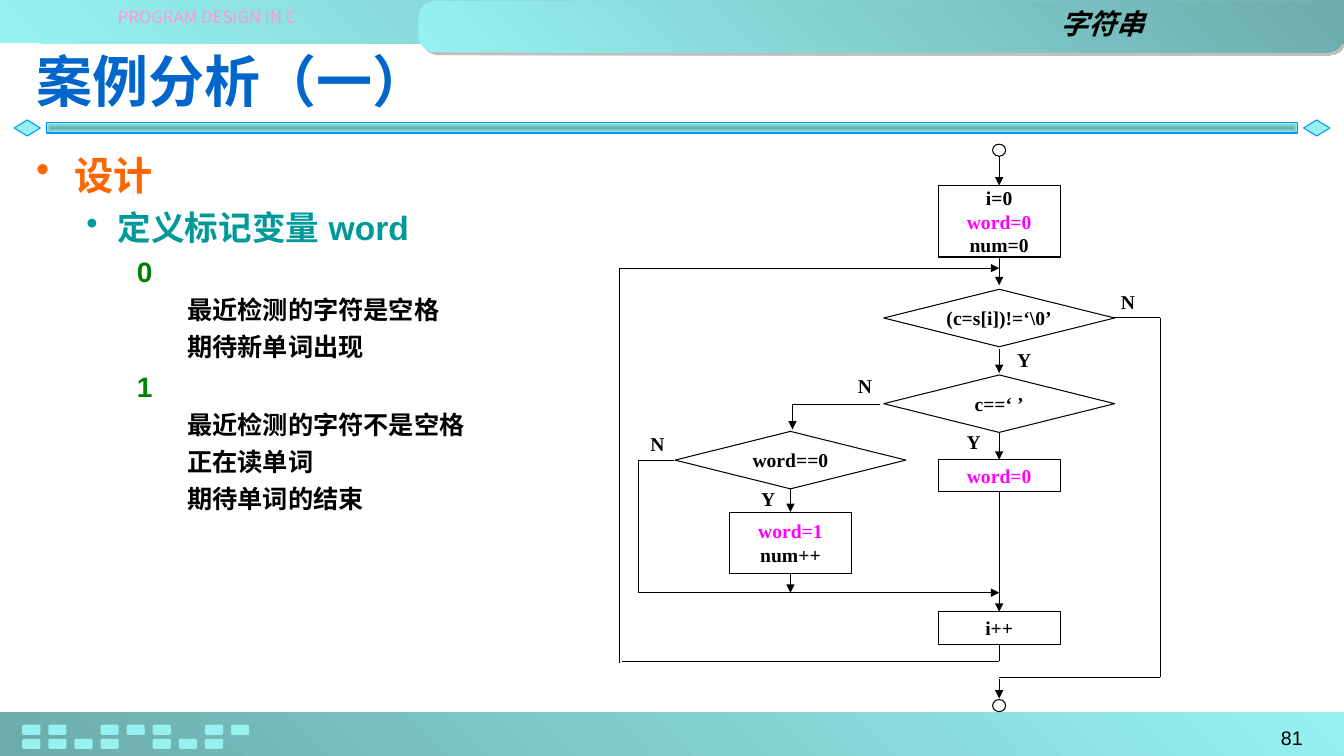
from pptx import Presentation
from pptx.dml.color import RGBColor
from pptx.enum.shapes import MSO_CONNECTOR, MSO_SHAPE
from pptx.enum.text import MSO_ANCHOR, PP_ALIGN
from pptx.oxml import parse_xml
from pptx.oxml.ns import nsdecls, qn
from pptx.oxml.xmlchemy import OxmlElement
from pptx.util import Inches, Pt

RECTANGLE, ROUNDED = MSO_SHAPE.RECTANGLE, MSO_SHAPE.ROUNDED_RECTANGLE
DIAMOND, DECISION, OVAL = MSO_SHAPE.DIAMOND, MSO_SHAPE.FLOWCHART_DECISION, MSO_SHAPE.OVAL
STRAIGHT = MSO_CONNECTOR.STRAIGHT
LEFT, CENTER, RIGHT = PP_ALIGN.LEFT, PP_ALIGN.CENTER, PP_ALIGN.RIGHT
TOP, MIDDLE = MSO_ANCHOR.TOP, MSO_ANCHOR.MIDDLE

BLACK = RGBColor(0x00, 0x00, 0x00)
AQUA = RGBColor(0x97, 0xF1, 0xF1)
SKY = RGBColor(0x00, 0x99, 0xFF)
BLUE = RGBColor(0x00, 0x66, 0xCC)
PINK = RGBColor(0xFF, 0x99, 0xCC)
ORANGE = RGBColor(0xFF, 0x66, 0x00)
TEAL = RGBColor(0x00, 0x99, 0x99)
GREEN = RGBColor(0x00, 0x80, 0x00)
MAGENTA = RGBColor(0xFF, 0x00, 0xFF)

FLOW_TEXT = {"name": "Times New Roman", "size": Pt(14), "bold": True}
LEVELS = [(28, ORANGE, 0.38, 0.38, True), (24, TEAL, 0.81, 0.31, True),
          (20, GREEN, 1.25, 0.25, False), (18, BLACK, 1.75, 0.25, False)]
OUTLINE = [(0, "设计"), (1, "定义标记变量 word"),
           (2, "0"), (3, "最近检测的字符是空格"), (3, "期待新单词出现"),
           (2, "1"), (3, "最近检测的字符不是空格"), (3, "正在读单词"), (3, "期待单词的结束")]


def write(paragraph, text, color, font_format, alignment=LEFT):
    """Put one formatted run in a paragraph."""
    paragraph.alignment = alignment
    run = paragraph.add_run()
    run.text = text
    for name, value in font_format.items():
        setattr(run.font, name, value)
    run.font.color.rgb = color
    east_asian = OxmlElement("a:ea")
    east_asian.set("typeface", font_format["name"])
    run.font._element.find(qn("a:latin")).addnext(east_asian)


def set_frame(frame, wrap=True, anchor=TOP, vertical_margin=0.05):
    """Set wrapping, anchor and vertical margins of a text frame."""
    values = {"word_wrap": wrap, "vertical_anchor": anchor,
              "margin_top": Inches(vertical_margin), "margin_bottom": Inches(vertical_margin)}
    for name, value in values.items():
        setattr(frame, name, value)


def add_text(slide, box, text, color, font_format, alignment=LEFT, **frame_format):
    """Add a text box with one line."""
    frame = slide.shapes.add_textbox(*map(Inches, box)).text_frame
    set_frame(frame, **frame_format)
    write(frame.paragraphs[0], text, color, font_format, alignment)


def add_shape(slide, kind, box, fill=None, line=None):
    """Add a preset shape without shadow."""
    shape = slide.shapes.add_shape(kind, *map(Inches, box))
    shape.shadow.inherit = False
    if fill is None:
        shape.fill.background()
    else:
        shape.fill.solid()
        shape.fill.fore_color.rgb = fill
    if line is None:
        shape.line.fill.background()
    else:
        shape.line.color.rgb = line
        shape.line.width = Pt(0.75)
    return shape


def shade(shape, dark_first, from_center=False):
    """Fill a shape with the aqua gradient."""
    dark = f'<a:srgbClr val="{AQUA}"><a:shade val="46275"/></a:srgbClr>'
    light = f'<a:srgbClr val="{AQUA}"/>'
    first, last = (dark, light) if dark_first else (light, dark)
    direction = '<a:lin ang="18900000" scaled="1"/>'
    if from_center:
        direction = '<a:path path="shape"><a:fillToRect l="50000" t="50000" r="50000" b="50000"/></a:path>'
    gradient = parse_xml(
        f'<a:gradFill rotWithShape="1" {nsdecls("a")}><a:gsLst><a:gs pos="0">{first}</a:gs>'
        f'<a:gs pos="100000">{last}</a:gs></a:gsLst>{direction}</a:gradFill>')
    properties = shape._element.spPr
    properties.replace(properties.find(qn("a:solidFill")), gradient)


def draw_header(slide, left, top, width):
    """Draw the top band with the course and chapter names."""
    shade(add_shape(slide, RECTANGLE, (left, top, width, 0.43), AQUA), False)
    tab = add_shape(slide, ROUNDED, (left + 4.15, top + 0.01, width - 4.15, 0.51), AQUA)
    tab.adjustments[0] = 0.333
    shade(tab, False)
    tab._element.spPr.find(qn("a:effectLst")).append(parse_xml(
        f'<a:outerShdw dist="35560" dir="2700000" algn="ctr" rotWithShape="0" {nsdecls("a")}>'
        '<a:srgbClr val="808080"><a:alpha val="50000"/></a:srgbClr></a:outerShdw>'))
    add_text(slide, (left + 0.3, top + 0.07, 3.51, 0.22), "PROGRAM DESIGN IN C", PINK,
             {"name": "Noto Sans CJK SC", "size": Pt(12)}, CENTER, vertical_margin=0)
    add_text(slide, (left + 5.04, top + 0.02, 6.41, 0.43), "字符串", BLACK,
             {"name": "Arial", "size": Pt(20), "bold": True, "italic": True}, RIGHT)


def draw_title(slide, left, top, width, height):
    """Place the title and the rule below it."""
    title = slide.shapes.title
    for name, value in zip(("left", "top", "width", "height"), (left, top, width, height)):
        setattr(title, name, Inches(value))
    set_frame(title.text_frame, anchor=MIDDLE)
    write(title.text_frame.paragraphs[0], "案例分析（一）", BLUE,
          {"name": "Noto Sans CJK JP", "size": Pt(40), "bold": True})
    rule_top = top + height - 0.04
    for offset in (-0.12, width - 0.14):
        add_shape(slide, DIAMOND, (left + offset, rule_top, 0.26, 0.16), AQUA, SKY)
    rule = add_shape(slide, RECTANGLE, (left + 0.2, rule_top + 0.03, width - 0.4, 0.1), AQUA, SKY)
    shade(rule, True, from_center=True)


def draw_footer(slide, left, top, width, height):
    """Draw the bottom band with its blocks and the page number."""
    shade(add_shape(slide, RECTANGLE, (left, top, width, height), AQUA), True)
    for row, columns in enumerate([(0, 1, 3, 4, 5, 7, 8), (0, 1, 2, 3, 5, 6, 7)]):
        for column in columns:
            box = (left + 0.22 + 0.259 * column, top + 0.12 + 0.14 * row, 0.18, 0.1)
            add_shape(slide, ROUNDED, box, AQUA)
    add_text(slide, (left + 11.18, top + 0.08, 1.84, 0.28), "81", BLACK,
             {"name": "Arial", "size": Pt(14)}, RIGHT)


def draw_outline(slide, left, top, width, height):
    """Write the bulleted design notes."""
    frame = slide.shapes.add_textbox(*map(Inches, (left, top, width, height))).text_frame
    set_frame(frame)
    for index, (level, text) in enumerate(OUTLINE):
        size, color, margin, hanging, bulleted = LEVELS[level]
        paragraph = frame.add_paragraph() if index else frame.paragraphs[0]
        properties = paragraph._element.get_or_add_pPr()
        properties.set("marL", str(Inches(margin)))
        properties.set("indent", str(-Inches(hanging)))
        bullet = OxmlElement("a:buChar" if bulleted else "a:buNone")
        if bulleted:
            bullet.set("char", "•")
        properties.append(bullet)
        paragraph.level = level
        paragraph.space_before = Pt(round(0.26 * size, 1) if index else 0)
        write(paragraph, text, color, {"name": "Arial", "size": Pt(size), "bold": True})


def draw_flowchart(slide, left, top):
    """Draw the word-counting flowchart from its top left corner."""
    main, branch, inner, outer = 3.77, 1.7, 0.19, 5.37
    merge, back, leave = 4.45, 5.13, 5.29
    sizes = {RECTANGLE: 1.21, DECISION: 2.29, OVAL: 0.13}
    nodes = {}
    for key, kind, axis, node_top, height, lines in [
            ("start", OVAL, main, 0, 0.12, []),
            ("init", RECTANGLE, main, 0.41, 0.71, ["i=0", "word=0", "num=0"]),
            ("loop", DECISION, main, 1.44, 0.57, ["(c=s[i])!=‘\\0’"]),
            ("blank", DECISION, main, 2.29, 0.57, ["c==‘ ’"]),
            ("reset", RECTANGLE, main, 3.13, 0.32, ["word=0"]),
            ("step", RECTANGLE, main, 4.64, 0.32, ["i++"]),
            ("flag", DECISION, branch, 2.85, 0.57, ["word==0"]),
            ("count", RECTANGLE, branch, 3.65, 0.61, ["word=1", "num++"]),
            ("end", OVAL, main, 5.51, 0.12, [])]:
        width = sizes[kind]
        box = (left + axis - width / 2, top + node_top, width, height)
        nodes[key] = add_shape(slide, kind, box, line=BLACK)
        frame = nodes[key].text_frame
        set_frame(frame, wrap=False, anchor=MIDDLE)
        for index, text in enumerate(lines):
            paragraph = frame.add_paragraph() if index else frame.paragraphs[0]
            color = MAGENTA if text.startswith("word=") and "==" not in text else BLACK
            write(paragraph, text, color, FLOW_TEXT, CENTER)

    for start, end, arrow, start_join, end_join in [
            ((main, 0.12), (main, 0.41), True, None, ("init", 0)),
            ((main, 1.12), (main, 1.4), True, ("init", 2), None),
            ((main, 2.03), (main, 2.27), True, None, None),
            ((main, 2.86), (main, 3.13), True, None, ("reset", 0)),
            ((main, 3.45), (main, 4.64), True, ("reset", 2), ("step", 0)),
            ((main, 4.96), (main, back), False, ("step", 2), None),
            ((main, back), (0.03, back), False, None, None),
            ((0, back + 0.02), (0, 1.23), False, None, None),
            ((0, 1.23), (main, 1.23), True, None, None),
            ((4.91, 1.72), (outer, 1.72), False, None, None),
            ((outer, 1.72), (outer, leave), False, None, None),
            ((outer, leave), (main, leave), False, None, None),
            ((main, leave + 0.02), (main, 5.5), True, None, None),
            ((2.59, 2.58), (branch + 0.02, 2.58), False, None, None),
            ((branch + 0.02, 2.58), (branch + 0.02, 2.83), True, None, None),
            ((branch, 3.42), (branch, 3.65), True, None, ("count", 0)),
            ((branch, 4.26), (branch, merge), True, ("count", 2), None),
            ((0.54, 3.14), (inner, 3.14), False, None, None),
            ((inner, 3.14), (inner, merge), False, None, None),
            ((inner, merge), (main, merge), True, None, None)]:
        ends = (left + start[0], top + start[1], left + end[0], top + end[1])
        wire = slide.shapes.add_connector(STRAIGHT, *map(Inches, ends))
        wire.line.color.rgb = BLACK
        wire.line.width = Pt(0.75)
        wire._element.spPr.append(OxmlElement("a:effectLst"))
        if arrow:
            head = OxmlElement("a:tailEnd")
            head.set("type", "triangle")
            wire.line._get_or_add_ln().append(head)
        for connect, join in ((wire.begin_connect, start_join), (wire.end_connect, end_join)):
            if join:
                connect(nodes[join[0]], join[1])

    for text, x, y, alignment in [("N", 4.88, 1.4, LEFT), ("Y", 3.85, 1.97, LEFT),
                                  ("N", 2.27, 2.23, LEFT), ("Y", 3.35, 2.79, LEFT),
                                  ("N", 0.21, 2.81, RIGHT), ("Y", 1.31, 3.35, LEFT)]:
        add_text(slide, (left + x, top + y, 0.34, 0.33), text, BLACK, FLOW_TEXT, alignment)


def main():
    """Build and save the slide."""
    presentation = Presentation()
    presentation.slide_width, presentation.slide_height = Inches(13.33), Inches(7.5)
    slide = presentation.slides.add_slide(presentation.slide_layouts[5])
    draw_footer(slide, 0, 7.07, 13.33, 0.43)
    draw_header(slide, 0, 0, 13.33)
    draw_title(slide, 0.26, 0.36, 12.81, 0.87)
    draw_outline(slide, 0.26, 1.45, 5.7, 5.49)
    draw_flowchart(slide, 6.14, 1.43)
    presentation.save("out.pptx")


if __name__ == "__main__":
    main()
